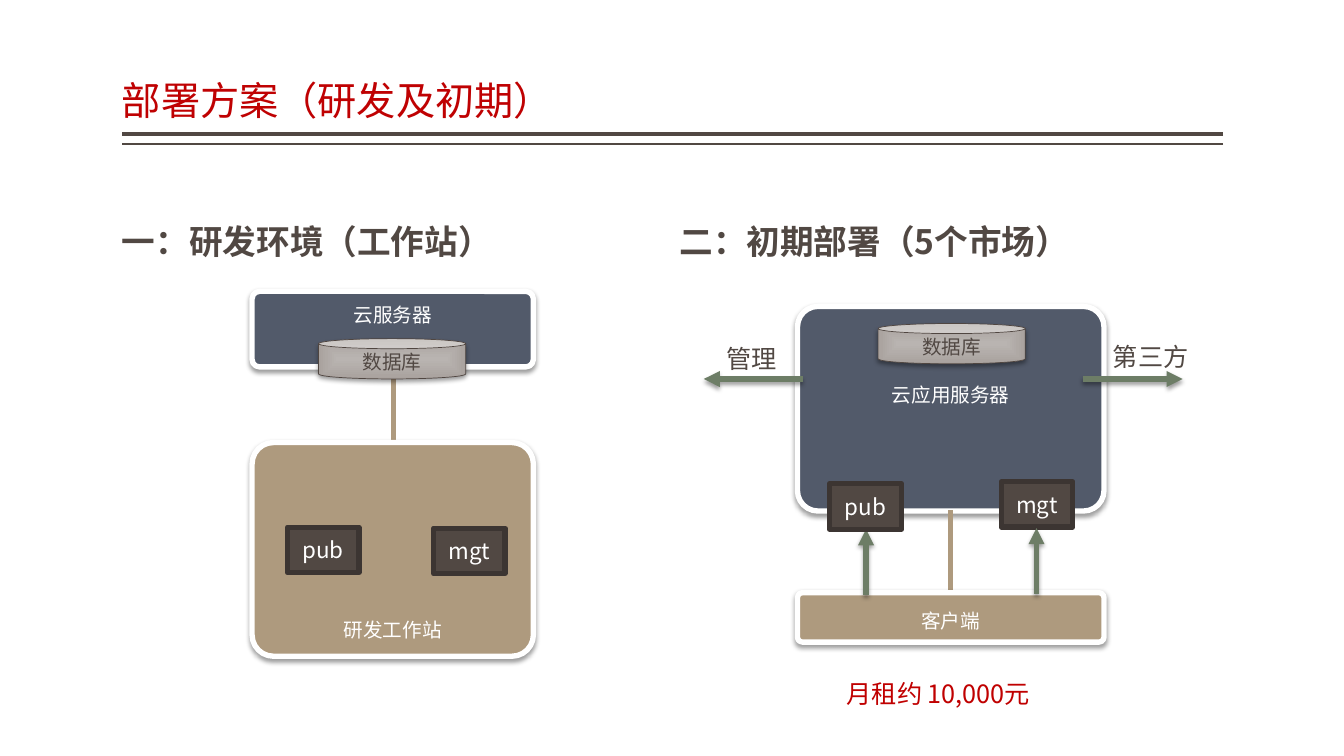
from dataclasses import dataclass
from typing import Any, Optional

import lxml.etree
import pptx
import pptx.dml.color
import pptx.enum.shapes
import pptx.enum.text
import pptx.oxml.ns
import pptx.util

RGB = pptx.dml.color.RGBColor
SHAPE = pptx.enum.shapes.MSO_SHAPE
ANCHOR = pptx.enum.text.MSO_ANCHOR
ALIGN = pptx.enum.text.PP_ALIGN
FIT = pptx.enum.text.MSO_AUTO_SIZE
qn = pptx.oxml.ns.qn

SCALE = 9144  # EMU per px, 100 px to the inch
FONT = "Noto Sans CJK SC"

WHITE = RGB(0xFF, 0xFF, 0xFF)
BLACK = RGB(0x00, 0x00, 0x00)
RED = RGB(0xBF, 0x01, 0x02)
PRICE = RGB(0xC0, 0x00, 0x00)
BROWN = RGB(0x51, 0x48, 0x43)
DARK = RGB(0x3C, 0x35, 0x32)
RIM = RGB(0x50, 0x46, 0x41)
SLATE = RGB(0x52, 0x5A, 0x6A)
TAN = RGB(0xAE, 0x9A, 0x7E)
GREEN = RGB(0x6D, 0x7D, 0x66)
PALE = RGB(0xB9, 0xB4, 0xB1)
GREY = RGB(0xA9, 0xA2, 0x9E)

Box = tuple[int, int, int, int]


@dataclass(frozen=True)
class Look:
    kind: Any
    fills: tuple[RGB, ...]
    edge: RGB
    width: float
    ink: RGB
    size: int
    shade: bool = True


@dataclass(frozen=True)
class Node:
    look: Look
    box: Box
    text: str
    anchor: Any = ANCHOR.MIDDLE
    lift: int = 0


@dataclass(frozen=True)
class Line:
    start: tuple[int, int]
    end: tuple[int, int]
    color: RGB
    width: float
    arrow: bool = False


@dataclass(frozen=True)
class Label:
    box: Box
    text: str
    color: RGB = BROWN


CLOUD = Look(SHAPE.ROUNDED_RECTANGLE, (SLATE,), WHITE, 3.82, WHITE, 14)
HOST = Look(SHAPE.ROUNDED_RECTANGLE, (TAN,), WHITE, 3.82, WHITE, 14)
STORE = Look(SHAPE.CAN, (PALE, GREY), RIM, 0.5, BROWN, 14)
APP = Look(SHAPE.RECTANGLE, (BROWN,), DARK, 3.78, WHITE, 16, False)


def link(x: int, top: int, low: int) -> Line:
    return Line((x, top), (x, low), TAN, 3.78)


def arrow(x: int, y: int, to_x: int, to_y: int) -> Line:
    return Line((x, y), (to_x, to_y), GREEN, 3.82, True)


def app(x: int, y: int, text: str) -> Node:
    return Node(APP, (x, y, 71, 45), text)


def store(x: int, y: int) -> Node:
    return Node(STORE, (x, y, 146, 40), "数据库")


HEADS = [
    (0, (121, 8, 1092, 120), "部署方案（研发及初期）", 28, RED, False),
    (1, (121, 175, 538, 90), "一：研发环境（工作站）", 24, BROWN, True),
    (3, (674, 175, 538, 90), "二：初期部署（5个市场）", 24, BROWN, True),
]

ITEMS: list[Node | Line | Label] = [
    Line((1213, 133), (121, 133), BROWN, 3),
    Line((1213, 143), (121, 143), BROWN, 1),
    Node(CLOUD, (791, 304, 304, 203), "云应用服务器", lift=25),
    link(943, 506, 588),
    Node(HOST, (791, 588, 304, 49), "客户端", ANCHOR.BOTTOM),
    Label((830, 668, 214, 40), "月租约 10,000元", PRICE),
    arrow(1074, 376, 1173, 376),
    arrow(796, 376, 698, 376),
    Label((711, 336, 71, 40), "管理"),
    store(871, 321),
    arrow(859, 590, 859, 525),
    app(823, 480, "pub"),
    app(993, 478, "mgt"),
    Label((1094, 334, 96, 40), "第三方"),
    arrow(1028, 589, 1028, 524),
    Node(CLOUD, (250, 289, 279, 75), "云服务器", lift=25),
    link(390, 365, 439),
    Node(HOST, (250, 439, 279, 212), "研发工作站", ANCHOR.BOTTOM),
    app(285, 523, "pub"),
    app(430, 524, "mgt"),
    store(316, 336),
]


def px(*values: int) -> list[int]:
    return [pptx.util.Emu(value * SCALE) for value in values]


def tag(parent: Any, name: str, **attrs: Any) -> Any:
    """Append a drawing element with the given attributes."""
    texts = {key: str(value) for key, value in attrs.items()}
    return lxml.etree.SubElement(parent, qn(name), texts)


def effect(shape: Any, blur: Optional[float]) -> None:
    """Give the shape a soft drop shadow, or none if blur is None."""
    group = tag(shape._element.spPr, "a:effectLst")
    if blur is not None:
        cast = tag(group, "a:outerShdw", blurRad=pptx.util.Pt(blur),
                   dist=pptx.util.Pt(2), dir=5400000, rotWithShape=0)
        tag(tag(cast, "a:srgbClr", val=BLACK), "a:alpha", val=38000)


def write(para: Any, text: str, size: int, color: RGB, bold: bool = False) -> None:
    run = para.add_run()
    run.text = text
    run.font.size = pptx.util.Pt(size)
    run.font.bold = bold
    run.font.color.rgb = color
    run.font.name = FONT
    tag(run.font._element, "a:ea", typeface=FONT)


def inset(frame: Any, left: int, top: int, right: int, low: int) -> None:
    (frame.margin_left, frame.margin_top,
     frame.margin_right, frame.margin_bottom) = px(left, top, right, low)


def paint(shape: Any, fills: tuple[RGB, ...]) -> None:
    """Fill with one colour, or with a gradient out from the centre."""
    if len(fills) == 1:
        shape.fill.solid()
        shape.fill.fore_color.rgb = fills[0]
        return
    shape.fill.gradient()
    for stop, color in zip(shape.fill.gradient_stops, fills):
        stop.color.rgb = color
    grad = shape._element.spPr.find(qn("a:gradFill"))
    grad.remove(grad.find(qn("a:lin")))
    way = tag(grad, "a:path", path="rect")
    tag(way, "a:fillToRect", l=50000, t=50000, r=50000, b=50000)


def draw_node(slide: Any, node: Node) -> None:
    look = node.look
    shape = slide.shapes.add_shape(look.kind, *px(*node.box))
    paint(shape, look.fills)
    shape.line.color.rgb = look.edge
    shape.line.width = pptx.util.Pt(look.width)
    effect(shape, 3.5 if look.shade else None)
    frame = shape.text_frame
    frame.word_wrap = True
    frame.vertical_anchor = node.anchor
    para = frame.paragraphs[0]
    para.alignment = ALIGN.CENTER
    if look.kind == SHAPE.ROUNDED_RECTANGLE:
        shape.adjustments[0] = 0.1
        inset(frame, 8, 8, 8, 8 + node.lift)
        para.line_spacing = 0.9
    write(para, node.text, look.size, look.ink)


def draw_line(slide: Any, line: Line) -> None:
    kind = pptx.enum.shapes.MSO_CONNECTOR.STRAIGHT
    shape = slide.shapes.add_connector(kind, *px(*line.start, *line.end))
    shape.line.color.rgb = line.color
    shape.line.width = pptx.util.Pt(line.width)
    if line.arrow:
        tag(shape.line._get_or_add_ln(), "a:tailEnd", type="triangle")
    effect(shape, 3.1 if line.arrow else None)


def draw_label(slide: Any, label: Label) -> None:
    frame = slide.shapes.add_textbox(*px(*label.box)).text_frame
    frame.word_wrap = False
    frame.auto_size = FIT.SHAPE_TO_FIT_TEXT
    write(frame.paragraphs[0], label.text, 18, label.color)


def draw_heads(slide: Any) -> None:
    """Fill the title and headings, and drop the unused placeholders."""
    slots = {slot.placeholder_format.idx: slot for slot in slide.placeholders}
    for idx, box, text, size, color, bold in HEADS:
        slot = slots.pop(idx)
        slot.left, slot.top, slot.width, slot.height = px(*box)
        frame = slot.text_frame
        frame.auto_size = FIT.NONE
        frame.word_wrap = True
        frame.vertical_anchor = ANCHOR.BOTTOM
        inset(frame, 0, 5, 0, 5)
        para = frame.paragraphs[0]
        para.alignment = ALIGN.LEFT
        para.line_spacing = 0.9
        para.space_before = pptx.util.Pt(0)
        write(para, text, size, color, bold)
    for slot in slots.values():
        slot._element.getparent().remove(slot._element)


def main() -> None:
    deck = pptx.Presentation()
    deck.slide_width, deck.slide_height = px(1333, 750)
    slide = deck.slides.add_slide(deck.slide_layouts.get_by_name("Comparison"))
    draw_heads(slide)
    tools = {Node: draw_node, Line: draw_line, Label: draw_label}
    for item in ITEMS:
        tools[type(item)](slide, item)
    deck.save("out.pptx")


if __name__ == "__main__":
    main()
